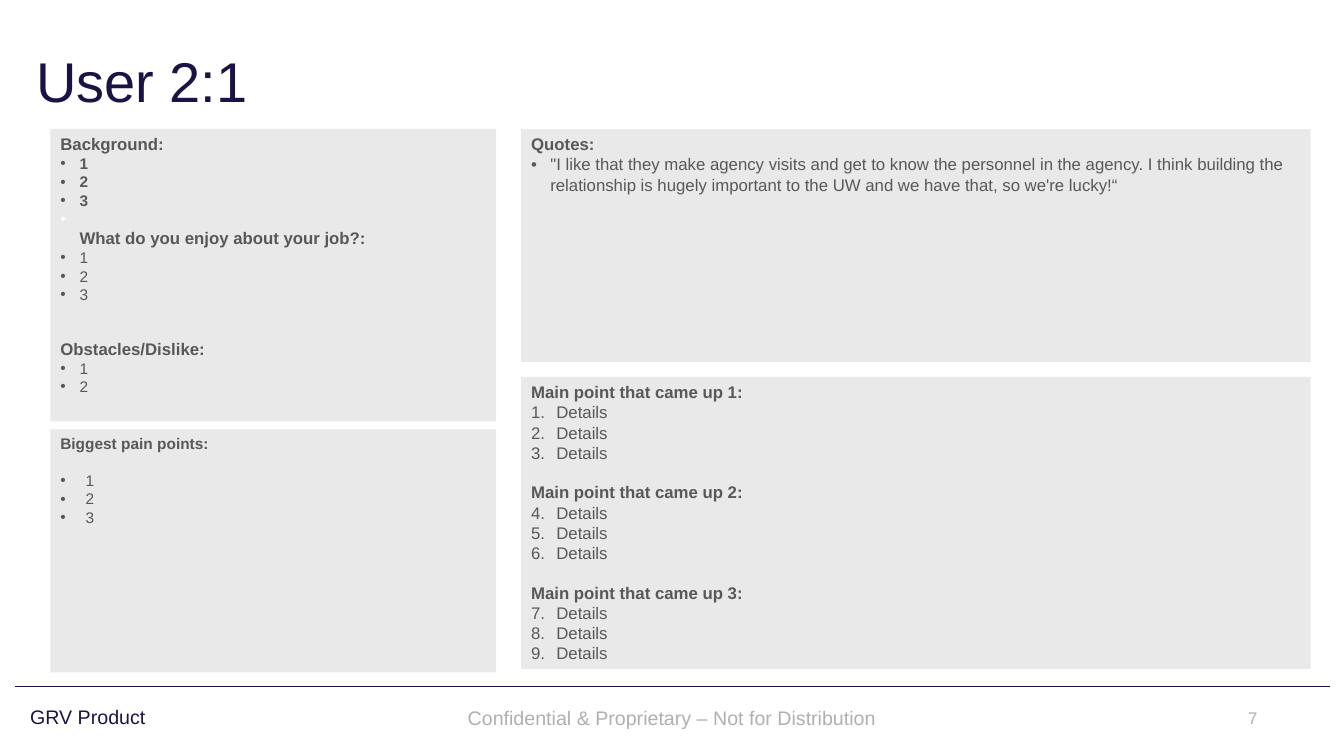
from dataclasses import dataclass

from lxml.etree import SubElement
from pptx import Presentation
from pptx.dml.color import RGBColor
from pptx.enum.shapes import MSO_CONNECTOR, MSO_SHAPE
from pptx.enum.text import MSO_ANCHOR as Anchor, PP_ALIGN as Align
from pptx.oxml.ns import qn
from pptx.util import Inches, Pt

COLORS = {"navy": "1A1446", "panel": "E9E9E9", "body": "585858", "muted": "B0B0B0"}
FONT = "Arial"
PANEL_TOP = 1.28
LEFT_X, LEFT_WIDTH = 0.5, 4.42
RIGHT_X, RIGHT_WIDTH = 5.17, 7.83


@dataclass(frozen=True)
class Line:
    text: str
    size: float = 12
    bold: bool = False
    indent: float = 0
    number: int = 0  # 0 means a round bullet when indented
    before: float = 0
    after: float = 0
    break_first: float = 0  # size of an empty line ahead of the text


@dataclass(frozen=True)
class Panel:
    left: float
    top: float
    width: float
    height: float
    lines: list[Line]


@dataclass(frozen=True)
class Label:
    left: float
    top: float
    width: float
    height: float
    text: str
    size: float
    color: str
    align: Align = Align.LEFT
    anchor: Anchor = Anchor.MIDDLE
    spacing: float | None = None
    before: float = 0


def heading(text: str, size: float = 12, before: float = 0) -> Line:
    return Line(text, size, bold=True, before=before)


def bullets(count: int, indent: float = 0.19, bold: bool = False) -> list[Line]:
    return [Line(str(i), 11, bold, indent) for i in range(1, count + 1)]


def main_point(index: int) -> list[Line]:
    first = 3 * index - 2
    title = heading(f"Main point that came up {index}:", before=14 if index > 1 else 0)
    return [title] + [Line("Details", indent=0.25, number=first + i) for i in range(3)]


def add_span(para, text: str, size: float, color: str, bold: bool = False) -> None:
    span = para.add_run()
    span.text = text
    span.font.name = FONT
    span.font.size = Pt(size)
    span.font.bold = bold
    span.font.color.rgb = RGBColor.from_string(COLORS[color])


def add_marker(para, line: Line, group_start: int) -> None:
    props = para._p.get_or_add_pPr()
    props.set("marL", str(Inches(line.indent)))
    props.set("indent", str(-Inches(line.indent)))
    SubElement(props, qn("a:buFont"), typeface=FONT)
    if line.number:
        SubElement(props, qn("a:buAutoNum"), type="arabicPeriod", startAt=str(group_start))
    else:
        SubElement(props, qn("a:buChar"), char="•")


def add_panel(page, panel: Panel) -> None:
    box = page.shapes.add_shape(
        MSO_SHAPE.RECTANGLE, Inches(panel.left), Inches(panel.top),
        Inches(panel.width), Inches(panel.height))
    box.shadow.inherit = False
    box.fill.solid()
    box.fill.fore_color.rgb = RGBColor.from_string(COLORS["panel"])
    box.line.fill.background()
    frame = box.text_frame
    frame.word_wrap = True
    frame.vertical_anchor = Anchor.TOP
    group_start = 0
    for i, line in enumerate(panel.lines):
        para = frame.paragraphs[0] if i == 0 else frame.add_paragraph()
        para.alignment = Align.LEFT
        para.space_before, para.space_after = Pt(line.before), Pt(line.after)
        group_start = (group_start or line.number) if line.number else 0
        if line.indent:
            add_marker(para, line, group_start)
        if line.break_first:
            para.font.size = Pt(line.break_first)
            para.add_line_break()
            gap = para._p.find(qn("a:br"))
            SubElement(gap, qn("a:rPr"), sz=str(int(line.break_first * 100)), b="1")
        add_span(para, line.text, line.size, "body", line.bold)


def add_label(page, label: Label) -> None:
    box = page.shapes.add_textbox(
        Inches(label.left), Inches(label.top), Inches(label.width), Inches(label.height))
    frame = box.text_frame
    frame.word_wrap = True
    frame.vertical_anchor = label.anchor
    para = frame.paragraphs[0]
    para.alignment = label.align
    para.space_before = Pt(label.before)
    if label.spacing:
        para.line_spacing = label.spacing
    add_span(para, label.text, label.size, label.color)


def add_rule(page) -> None:
    rule = page.shapes.add_connector(
        MSO_CONNECTOR.STRAIGHT, Inches(0.15), Inches(6.81), Inches(13.19), Inches(6.81))
    rule.line.color.rgb = RGBColor.from_string(COLORS["navy"])
    rule.line.width = Pt(1)
    SubElement(rule._element.spPr, qn("a:effectLst"))


LABELS = [
    Label(0.2, 6.91, 4.37, 0.42, "GRV Product", 14, "navy", spacing=0.9, before=10),
    Label(0.26, 0.18, 12.83, 1.32, "User 2:1", 40, "navy", spacing=0.9),
    Label(11.88, 6.97, 0.69, 0.3, "7", 12, "muted", Align.RIGHT, Anchor.TOP),
    Label(3.42, 6.92, 6.49, 0.4, "Confidential & Proprietary – Not for Distribution",
          14, "muted", Align.CENTER),
]

QUOTE = ("\"I like that they make agency visits and get to know the personnel in the agency. "
         "I think building the relationship is hugely important to the UW and we have that, "
         "so we're lucky!“")

PANELS = [
    Panel(LEFT_X, PANEL_TOP, LEFT_WIDTH, 2.9, [
        heading("Background:"),
        *bullets(3, bold=True),
        Line("What do you enjoy about your job?:", bold=True, indent=0.19, break_first=11),
        *bullets(3),
        heading("Obstacles/Dislike:", before=25),
        *bullets(2),
    ]),
    Panel(RIGHT_X, PANEL_TOP, RIGHT_WIDTH, 2.31, [
        heading("Quotes:"),
        Line(QUOTE, indent=0.19, after=6),
    ]),
    Panel(RIGHT_X, 3.74, RIGHT_WIDTH, 2.9,
          [line for index in (1, 2, 3) for line in main_point(index)]),
    Panel(LEFT_X, 4.26, LEFT_WIDTH, 2.41, [
        Line("Biggest pain points:", 11, bold=True, after=13),
        *bullets(3, indent=0.25),
    ]),
]


def main() -> None:
    deck = Presentation()
    deck.slide_width, deck.slide_height = Inches(13.33), Inches(7.5)
    page = deck.slides.add_slide(deck.slide_layouts[6])

    # Footer rule, title and footer texts
    add_rule(page)
    for label in LABELS:
        add_label(page, label)

    # Grey note panels
    for panel in PANELS:
        add_panel(page, panel)

    deck.save("out.pptx")


if __name__ == "__main__":
    main()
